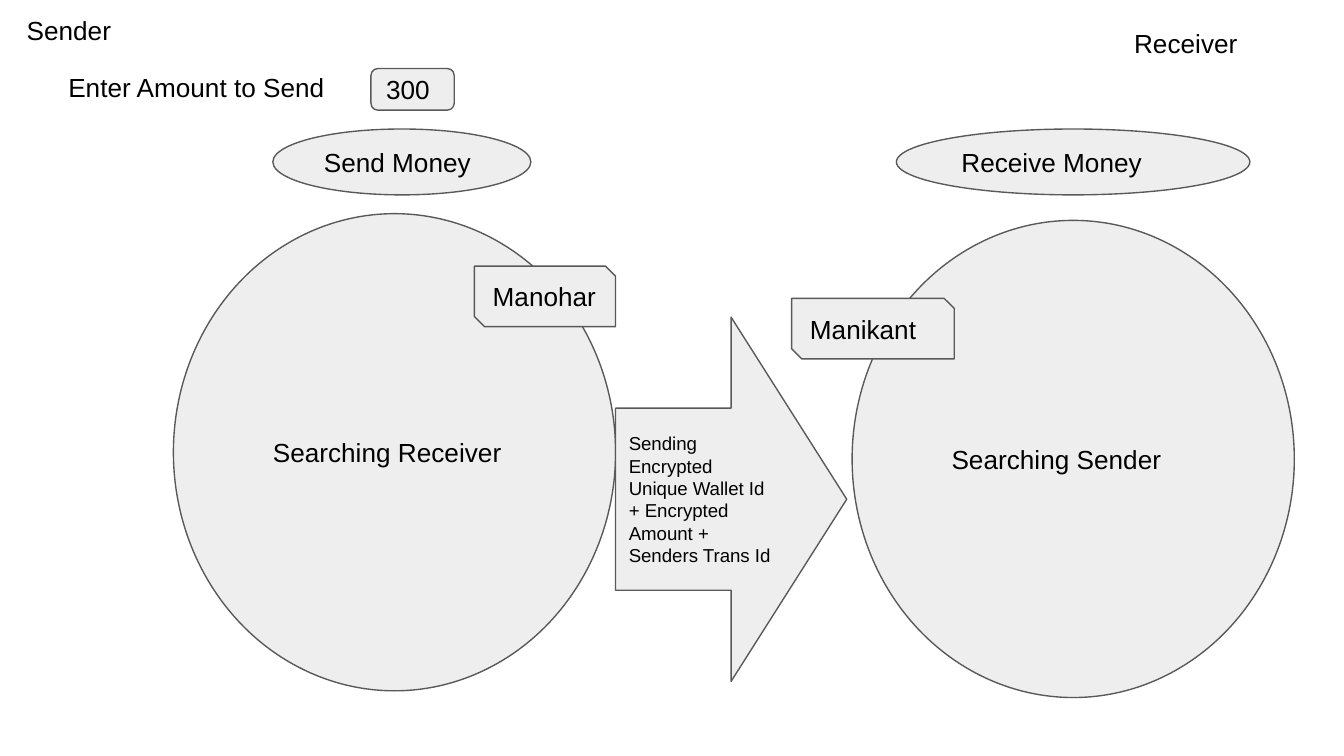
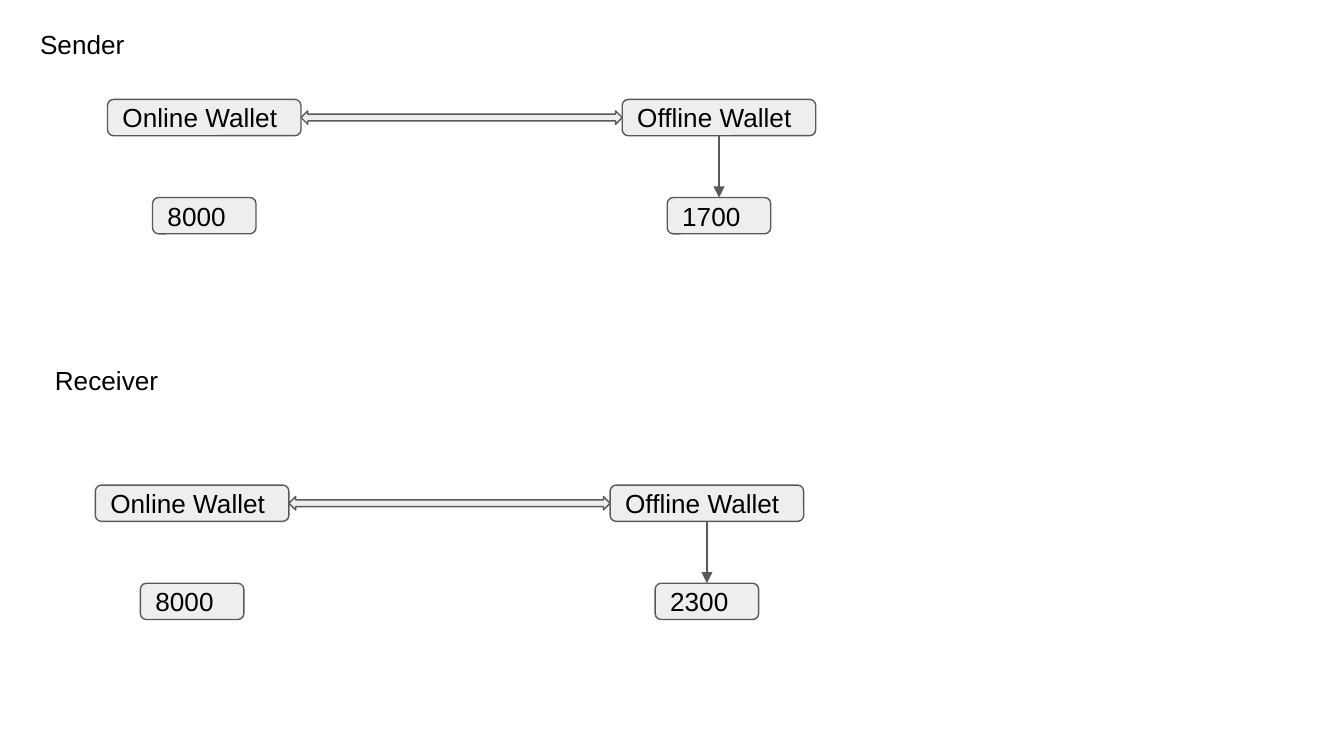
import pptx
import pptx.dml.color
import pptx.enum.shapes
import pptx.enum.text
import pptx.oxml
import pptx.oxml.ns
import pptx.util
from dataclasses import dataclass
from typing import Any, Optional

Inches = pptx.util.Inches
Pt = pptx.util.Pt
Shape = pptx.enum.shapes.MSO_SHAPE
Anchor = pptx.enum.text.MSO_ANCHOR

# Shared look
BLACK = pptx.dml.color.RGBColor(0x00, 0x00, 0x00)
PALE_GREY = pptx.dml.color.RGBColor(0xEE, 0xEE, 0xEE)
DARK_GREY = pptx.dml.color.RGBColor(0x59, 0x59, 0x59)
FONT = "Arial"
LINE_WIDTH = Pt(0.75)
INSET = Inches(0.1)
BODY_SIZE = 14


@dataclass
class Item:
    """A filled shape, or a plain label when kind is None."""
    text: str
    left: float
    top: float
    width: float
    height: float
    kind: Optional[Shape] = None
    size: float = BODY_SIZE
    indent: float = 0


@dataclass
class WalletRow:
    left: float
    top: float
    online_amount: str
    offline_amount: str


def write_text(box: Any, text: str, *, size: float = BODY_SIZE,
               anchor: Anchor = Anchor.TOP, indent: float = 0) -> None:
    frame = box.text_frame
    frame.word_wrap = True
    frame.vertical_anchor = anchor
    frame.margin_left = frame.margin_right = INSET
    frame.margin_top = frame.margin_bottom = INSET
    para = frame.paragraphs[0]
    para.alignment = pptx.enum.text.PP_ALIGN.LEFT
    if indent:
        para._p.get_or_add_pPr().set("marL", str(Inches(indent)))
    span = para.add_run()
    span.text = text
    span.font.name = FONT
    span.font.size = Pt(size)
    span.font.color.rgb = BLACK


def add_item(page: Any, item: Item) -> Any:
    place = [Inches(v) for v in (item.left, item.top, item.width, item.height)]
    if item.kind is None:
        box = page.shapes.add_textbox(*place)
        write_text(box, item.text, size=item.size)
        return box
    box = page.shapes.add_shape(item.kind, *place)
    box.shadow.inherit = False
    box.fill.solid()
    box.fill.fore_color.rgb = PALE_GREY
    box.line.color.rgb = DARK_GREY
    box.line.width = LINE_WIDTH
    if item.kind == Shape.SNIP_2_DIAG_RECTANGLE:
        box.adjustments[0] = 0
        box.adjustments[1] = 0.167
    if item.text:
        write_text(box, item.text, size=item.size, anchor=Anchor.MIDDLE,
                   indent=item.indent)
    return box


def add_arrow_down(page: Any, upper: Any, lower: Any) -> None:
    """Join the bottom of one box to the top of another."""
    arrow = page.shapes.add_connector(
        pptx.enum.shapes.MSO_CONNECTOR.STRAIGHT, 0, 0, 0, 0)
    arrow.begin_connect(upper, 2)
    arrow.end_connect(lower, 0)
    arrow.line.color.rgb = DARK_GREY
    arrow.line.width = LINE_WIDTH
    head = pptx.oxml.parse_xml(
        f'<a:tailEnd {pptx.oxml.ns.nsdecls("a")} type="triangle"/>')
    arrow.line._get_or_add_ln().append(head)
    effects = pptx.oxml.parse_xml(f'<a:effectLst {pptx.oxml.ns.nsdecls("a")}/>')
    arrow._element.spPr.append(effects)


# Slide 1: the transfer, from back to front
TRANSFER = [
    Item("Searching Receiver", 1.29, 1.59, 3.29, 3.55, Shape.OVAL, indent=0.16),
    Item("Enter Amount to Send", 0.41, 0.43, 6.32, 0.74),
    Item("300", 2.76, 0.51, 0.62, 0.31, Shape.ROUNDED_RECTANGLE),
    Item("Send Money", 2.03, 0.96, 1.92, 0.49, Shape.FLOWCHART_CONNECTOR),
    Item("Searching Sender", 6.34, 1.64, 3.29, 3.55, Shape.OVAL, indent=0.16),
    Item("Receive Money", 6.67, 0.96, 2.63, 0.49, Shape.FLOWCHART_CONNECTOR),
    Item("Manohar", 3.53, 1.98, 1.05, 0.45, Shape.SNIP_2_DIAG_RECTANGLE),
    Item("Manikant", 5.89, 2.22, 1.21, 0.45, Shape.SNIP_2_DIAG_RECTANGLE),
    Item("Sending Encrypted Unique Wallet Id + Encrypted Amount + Senders Trans Id",
         4.58, 2.36, 1.72, 2.71, Shape.RIGHT_ARROW, size=10),
    Item("Receiver", 8.34, 0.1, 1.1, 0.49),
    Item("Sender", 0.1, 0.01, 0.94, 0.49),
]

# Slide 2: wallets of both parties
WALLET_LABELS = [
    Item("Sender", 0.2, 0.11, 0.94, 0.49),
    Item("Receiver", 0.31, 2.61, 1.12, 0.49),
]
WALLET_ROWS = [
    WalletRow(0.8, 0.74, "8000", "1700"),
    WalletRow(0.71, 3.61, "8000", "2300"),
]
WALLET_WIDTH, AMOUNT_WIDTH, BOX_HEIGHT = 1.44, 0.77, 0.27
WALLET_STEP, AMOUNT_DROP = 3.83, 0.73
SYNC_HEIGHT = 0.1


def add_wallet(page: Any, name: str, amount: str, left: float, top: float) -> tuple[Any, Any]:
    """Draw a wallet with its amount centred below."""
    amount_left = left + (WALLET_WIDTH - AMOUNT_WIDTH) / 2
    wallet = add_item(page, Item(name, left, top, WALLET_WIDTH, BOX_HEIGHT,
                                 Shape.ROUNDED_RECTANGLE))
    balance = add_item(page, Item(amount, amount_left, top + AMOUNT_DROP, AMOUNT_WIDTH,
                                  BOX_HEIGHT, Shape.ROUNDED_RECTANGLE))
    return wallet, balance


def add_wallet_row(page: Any, row: WalletRow) -> None:
    add_wallet(page, "Online Wallet", row.online_amount, row.left, row.top)
    offline, balance = add_wallet(page, "Offline Wallet", row.offline_amount,
                                  row.left + WALLET_STEP, row.top)
    add_arrow_down(page, offline, balance)
    add_item(page, Item("", row.left + WALLET_WIDTH,
                        row.top + (BOX_HEIGHT - SYNC_HEIGHT) / 2,
                        WALLET_STEP - WALLET_WIDTH, SYNC_HEIGHT,
                        Shape.LEFT_RIGHT_ARROW))


def main() -> None:
    deck = pptx.Presentation()
    deck.slide_width = Inches(10)
    deck.slide_height = Inches(5.625)
    blank = deck.slide_layouts[6]

    transfer_page = deck.slides.add_slide(blank)
    for item in TRANSFER:
        add_item(transfer_page, item)

    wallet_page = deck.slides.add_slide(blank)
    for label in WALLET_LABELS:
        add_item(wallet_page, label)
    for row in WALLET_ROWS:
        add_wallet_row(wallet_page, row)

    deck.save("out.pptx")


if __name__ == "__main__":
    main()
